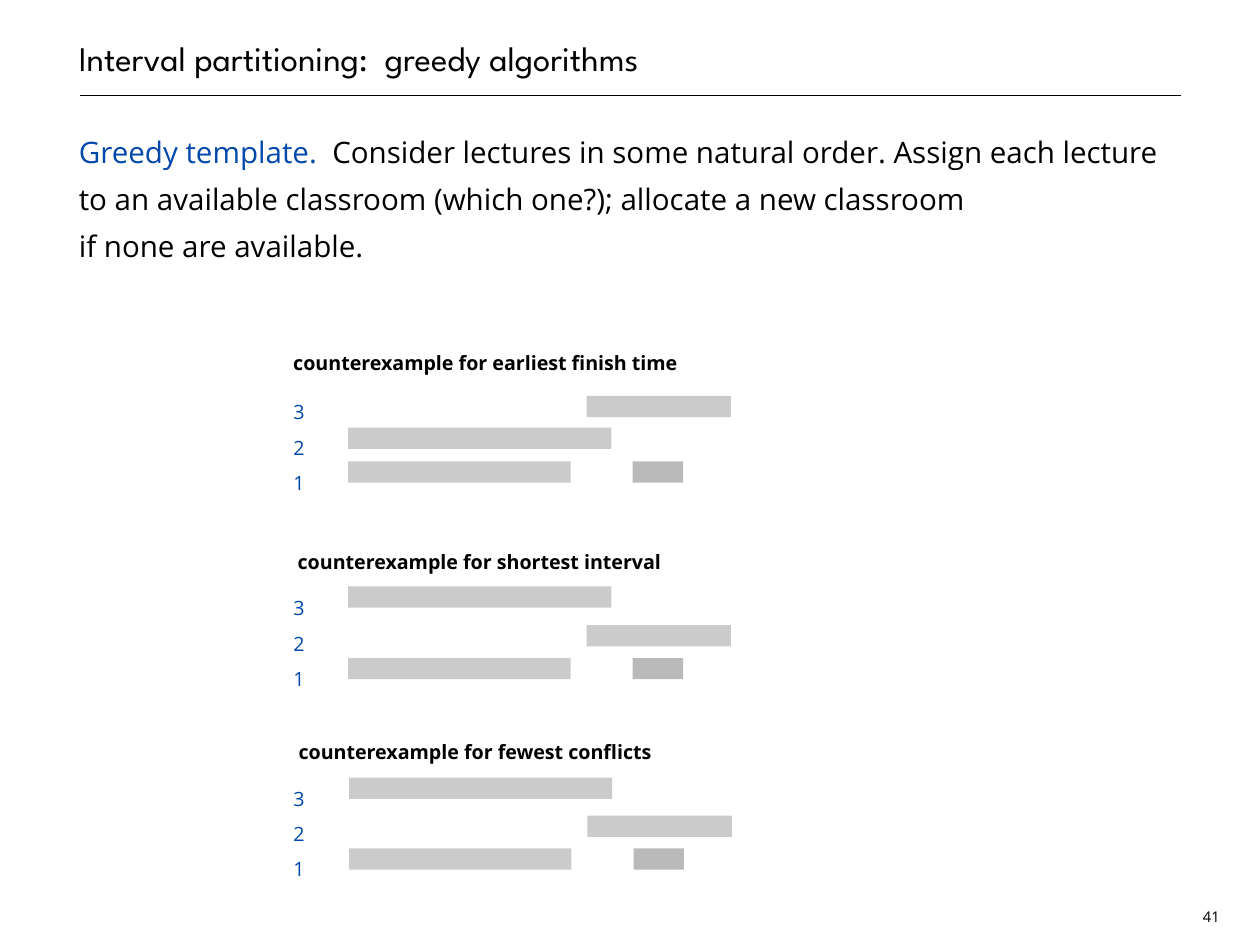
import dataclasses

import pptx
import pptx.dml.color
import pptx.enum.shapes
import pptx.enum.text
import pptx.util
from lxml import etree

Inches, Pt = pptx.util.Inches, pptx.util.Pt
ALIGN, ANCHOR = pptx.enum.text.PP_ALIGN, pptx.enum.text.MSO_ANCHOR


@dataclasses.dataclass(frozen=True)
class Theme:
    """Fonts, colours and type sizes of the slide."""
    head_font: str = "League Spartan"
    body_font: str = "Open Sans"
    ink: str = "000000"
    accent: str = "0048AA"
    bar: str = "CBCBCB"
    late_bar: str = "BABABA"
    title: int = 28
    body: int = 24
    label: int = 16
    number: int = 12


T = Theme()
LANE_STEP = 0.4
BAR_HEIGHT = 0.24

# Bar tops are measured from the top of each panel.
PANELS = [
    dict(box=(3.31, 3.88), heading="counterexample for earliest finish time",
         indent=0, lanes=0.56, bars=0, first=1.33, long=0.95, last=0.59),
    dict(box=(3.31, 6.13), heading="counterexample for shortest interval",
         indent=0.05, lanes=0.52, bars=0, first=1.3, long=0.49, last=0.93),
    dict(box=(3.31, 8.27), heading="counterexample for fewest conflicts",
         indent=0.06, lanes=0.53, bars=0.01, first=1.31, long=0.51, last=0.94),
]


def rgb(color):
    """Return a colour object for a hex string."""
    return pptx.dml.color.RGBColor.from_string(color)


def add_text(shapes, box, text, size, color=T.ink, font=T.body_font, bold=False,
             spacing=1.3, align=ALIGN.LEFT, anchor=ANCHOR.TOP):
    """Add a text box without insets and return its paragraph."""
    tf = shapes.add_textbox(*map(Inches, box)).text_frame
    tf.margin_left = tf.margin_right = tf.margin_top = tf.margin_bottom = 0
    tf.word_wrap = True
    tf.vertical_anchor = anchor
    p = tf.paragraphs[0]
    p.text = text
    p.alignment = align
    p.line_spacing = spacing
    p.font.name, p.font.size, p.font.bold = font, Pt(size), bold
    p.font.color.rgb = rgb(color)
    return p


def add_bar(shapes, x, y, width, color):
    """Add one lecture bar."""
    sp = shapes.add_shape(pptx.enum.shapes.MSO_SHAPE.RECTANGLE,
                          *map(Inches, (x, y, width, BAR_HEIGHT)))
    sp.shadow.inherit = False
    sp.fill.solid()
    sp.fill.fore_color.rgb = rgb(color)
    sp.line.fill.background()


def add_header(s, x, y, width, height):
    """Add the slide title and the rule below it."""
    rule_y = Inches(y + height + 0.19)
    rule = s.shapes.add_connector(pptx.enum.shapes.MSO_CONNECTOR.STRAIGHT,
                                  Inches(x + 0.01), rule_y, Inches(x + width), rule_y)
    rule.line.color.rgb = rgb(T.ink)
    rule.line.width = Pt(1)
    etree.SubElement(rule._element.spPr, pptx.oxml.ns.qn("a:effectLst"))
    add_text(s.shapes, (x, y, width, height), "Interval partitioning:  greedy algorithms",
             T.title, font=T.head_font, spacing=Pt(38), anchor=ANCHOR.BOTTOM)


def add_template(s, x, y, width, height):
    """Add the paragraph on the greedy template."""
    p = add_text(s.shapes, (x, y, width, height), "Greedy template.  ", T.body,
                 spacing=Pt(38))
    p.runs[0].font.color.rgb = rgb(T.accent)
    p.add_run().text = ("Consider lectures in some natural order. Assign each lecture "
                        "to an available classroom (which one?); allocate a new classroom")
    p.add_line_break()
    p.add_run().text = "if none are available."


def add_counterexample(s, box, heading, indent, lanes, bars, first, long, last):
    """Add a heading, three numbered classrooms and four lecture bars."""
    x, y = box
    shapes = s.shapes.add_group_shape().shapes
    add_text(shapes, (x + indent, y, 4.47, 0.25), heading, T.label, bold=True)
    left = x + 0.62 + bars
    for dx, top, width, color in ((0, first, 2.51, T.bar), (2.69, last, 1.63, T.bar),
                                  (3.21, first, 0.57, T.late_bar), (0, long, 2.97, T.bar)):
        add_bar(shapes, left + dx, y + top, width, color)
    for i, room in enumerate("321"):
        add_text(shapes, (x, y + lanes + i * LANE_STEP, 0.15, 0.2), room, T.label, T.accent)


def main():
    """Build and save the slide."""
    prs = pptx.Presentation()
    prs.slide_width, prs.slide_height = Inches(14.22), Inches(10.67)
    s = prs.slides.add_slide(prs.slide_layouts[6])
    add_header(s, 0.89, 0, 12.44, 0.89)
    add_template(s, 0.89, 1.39, 12.44, 8.94)
    add_text(s.shapes, (13.56, 10.26, 0.22, 0.2), "41", T.number,
             spacing=Pt(14), align=ALIGN.CENTER)
    for panel in PANELS:
        add_counterexample(s, **panel)
    prs.save("out.pptx")


if __name__ == "__main__":
    main()
